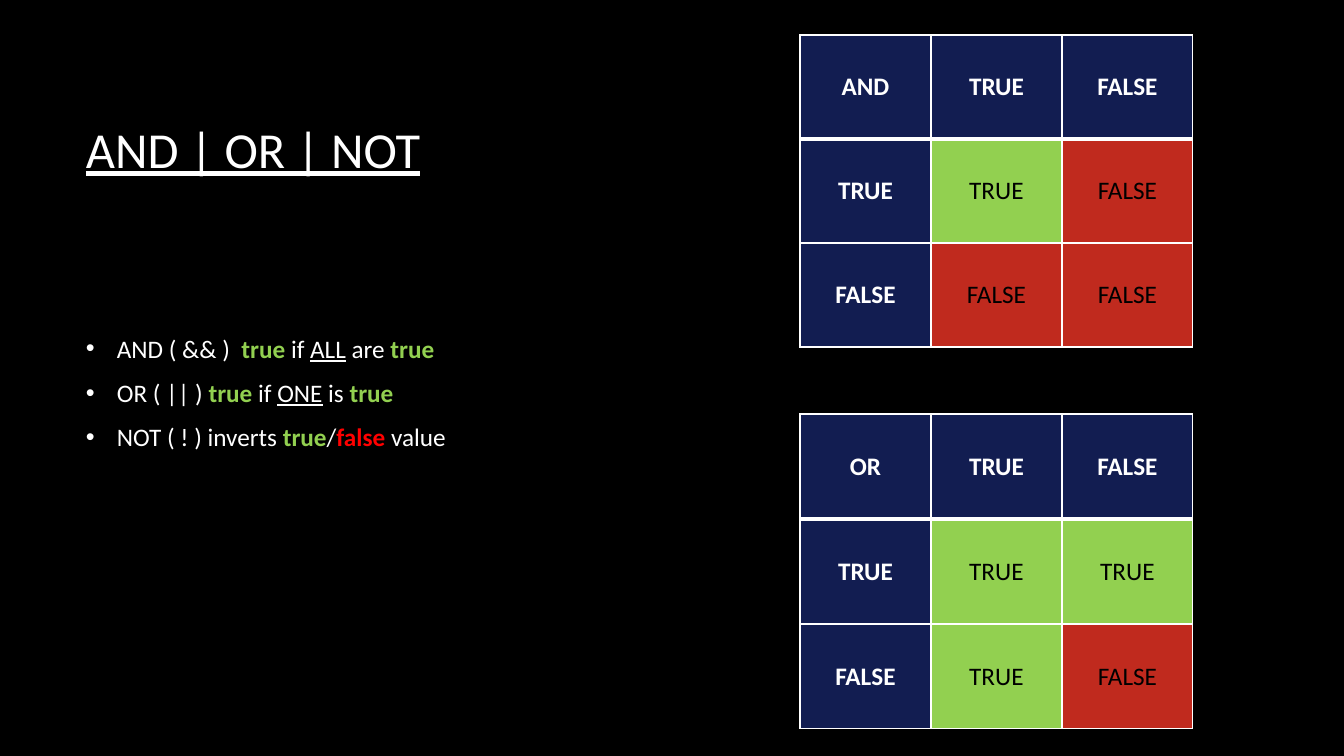
from lxml.etree import SubElement
from pptx import Presentation
from pptx.dml.color import RGBColor
from pptx.enum.text import MSO_ANCHOR, PP_ALIGN
from pptx.oxml.ns import qn
from pptx.util import Pt

EMU_PER_PX = 914400 / 100.8
BLACK = RGBColor(0x00, 0x00, 0x00)
WHITE = RGBColor(0xFF, 0xFF, 0xFF)
NAVY = RGBColor(0x12, 0x1D, 0x51)
GREEN = RGBColor(0x92, 0xD0, 0x50)
BRICK = RGBColor(0xC0, 0x2A, 0x1E)
RED = RGBColor(0xFF, 0x00, 0x00)
FONT = "Calibri"

TITLE = "AND | OR | NOT"
RUN_STYLES = {
    "plain": (WHITE, False, False),
    "underlined": (WHITE, False, True),
    "true": (GREEN, True, False),
    "false": (RED, True, False),
}
BULLETS = [
    [("AND ( && )  ", "plain"), ("true ", "true"), ("if ", "plain"),
     ("ALL", "underlined"), (" are ", "plain"), ("true", "true")],
    [("OR ( || ) ", "plain"), ("true", "true"), (" if ", "plain"),
     ("ONE", "underlined"), (" is ", "plain"), ("true", "true")],
    [("NOT ( ! ) inverts ", "plain"), ("true", "true"), ("/", "plain"),
     ("false ", "false"), ("value", "plain")],
]
TRUTH_TABLES = [
    (35, 104, [("AND", "TRUE", "FALSE"),
               ("TRUE", "TRUE", "FALSE"),
               ("FALSE", "FALSE", "FALSE")]),
    (414, 105, [("OR", "TRUE", "FALSE"),
                ("TRUE", "TRUE", "TRUE"),
                ("FALSE", "TRUE", "FALSE")]),
]
TABLE_LEFT, COLUMN_WIDTH = 800, 131
TEXT_LEFT, TEXT_WIDTH = 76, 1117
BULLET_INDENT = 31
BODY_BOTTOM_MARGIN = 94


def px(length):
    return round(length * EMU_PER_PX)


def set_font(font, size, color, bold=False, underline=False):
    font.name = FONT
    font.size = Pt(size)
    font.color.rgb = color
    font.bold = bold
    font.underline = underline


def add_text_frame(slide, top, height):
    box = slide.shapes.add_textbox(px(TEXT_LEFT), px(top), px(TEXT_WIDTH), px(height))
    frame = box.text_frame
    frame.word_wrap = True
    frame.vertical_anchor = MSO_ANCHOR.MIDDLE
    return frame


def add_bullet(paragraph):
    properties = paragraph._p.get_or_add_pPr()
    properties.set("marL", str(px(BULLET_INDENT)))
    properties.set("indent", str(-px(BULLET_INDENT)))
    color = SubElement(properties, qn("a:buClr"))
    SubElement(color, qn("a:srgbClr"), val=str(WHITE))
    SubElement(properties, qn("a:buFont"), typeface="Arial")
    SubElement(properties, qn("a:buChar"), char="•")


def add_borders(cell, row):
    points = {"lnL": 1, "lnR": 1, "lnT": 3 if row == 1 else 1, "lnB": 3 if row == 0 else 1}
    properties = cell._tc.get_or_add_tcPr()
    for side, width in points.items():
        line = SubElement(properties, qn(f"a:{side}"), w=str(Pt(width)))
        fill = SubElement(line, qn("a:solidFill"))
        SubElement(fill, qn("a:srgbClr"), val=str(WHITE))


def add_truth_table(slide, top, row_height, rows):
    size = len(rows)
    table = slide.shapes.add_table(
        size, size, px(TABLE_LEFT), px(top), px(COLUMN_WIDTH * size), px(row_height * size)
    ).table
    for column in table.columns:
        column.width = px(COLUMN_WIDTH)
    for row, values in enumerate(rows):
        table.rows[row].height = px(row_height)
        for column, value in enumerate(values):
            is_header = row == 0 or column == 0
            cell = table.cell(row, column)
            add_borders(cell, row)
            cell.fill.solid()
            result_color = GREEN if value == "TRUE" else BRICK
            cell.fill.fore_color.rgb = NAVY if is_header else result_color
            cell.vertical_anchor = MSO_ANCHOR.MIDDLE
            paragraph = cell.text_frame.paragraphs[0]
            paragraph.text = value
            paragraph.alignment = PP_ALIGN.CENTER
            set_font(paragraph.font, 18, WHITE if is_header else BLACK, is_header)


def main():
    presentation = Presentation()
    presentation.slide_width, presentation.slide_height = px(1344), px(756)
    slide = presentation.slides.add_slide(presentation.slide_layouts[6])
    slide.background.fill.solid()
    slide.background.fill.fore_color.rgb = BLACK

    title = add_text_frame(slide, 68, 160).paragraphs[0]
    title.text = TITLE
    set_font(title.font, 36, WHITE, underline=True)

    body = add_text_frame(slide, 236, 402)
    body.margin_bottom = px(BODY_BOTTOM_MARGIN)
    for index, runs in enumerate(BULLETS):
        paragraph = body.add_paragraph() if index else body.paragraphs[0]
        paragraph.space_after = Pt(10)
        add_bullet(paragraph)
        for text, style in runs:
            run = paragraph.add_run()
            run.text = text
            set_font(run.font, 18, *RUN_STYLES[style])

    for top, row_height, rows in TRUTH_TABLES:
        add_truth_table(slide, top, row_height, rows)

    presentation.save("out.pptx")


if __name__ == "__main__":
    main()
